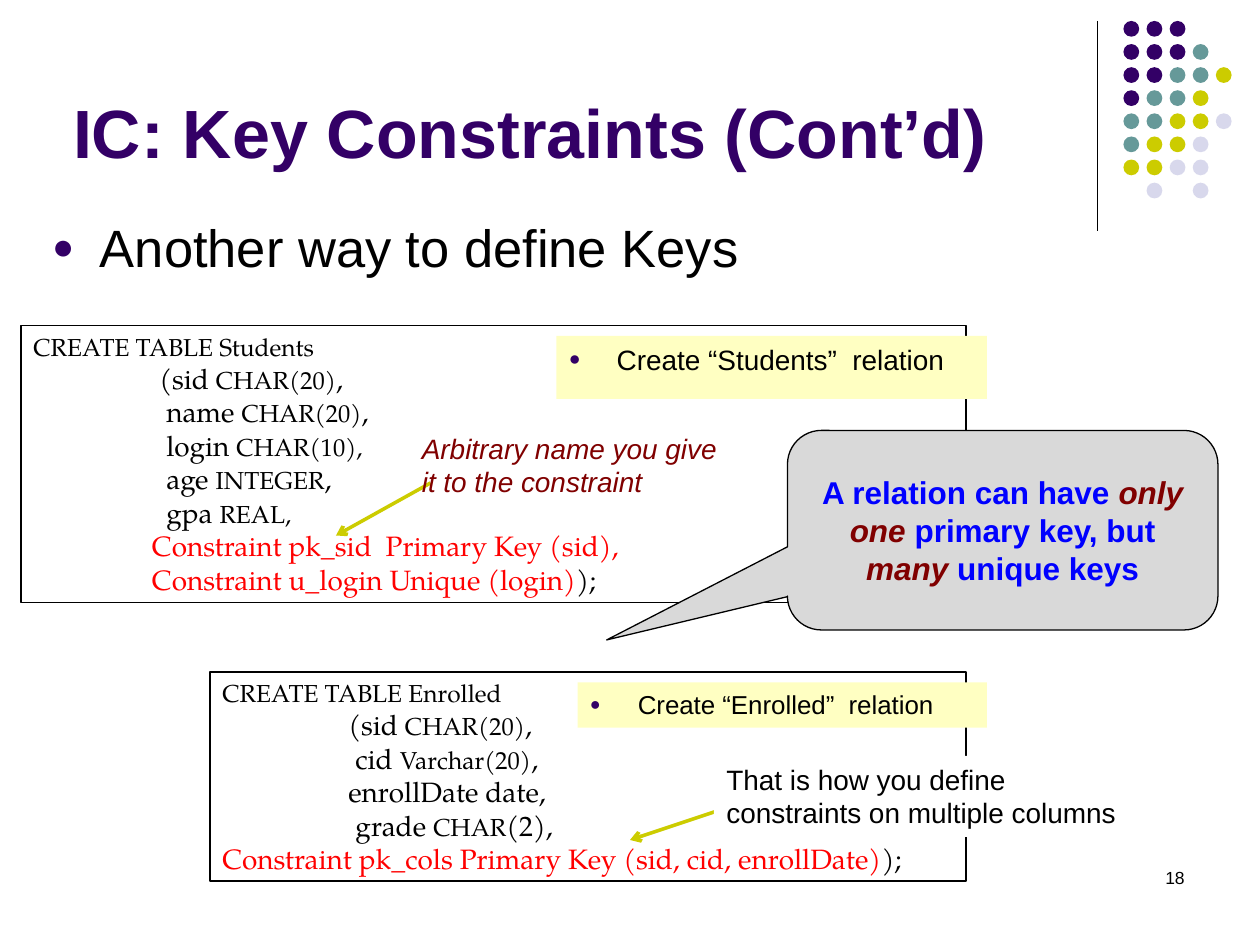
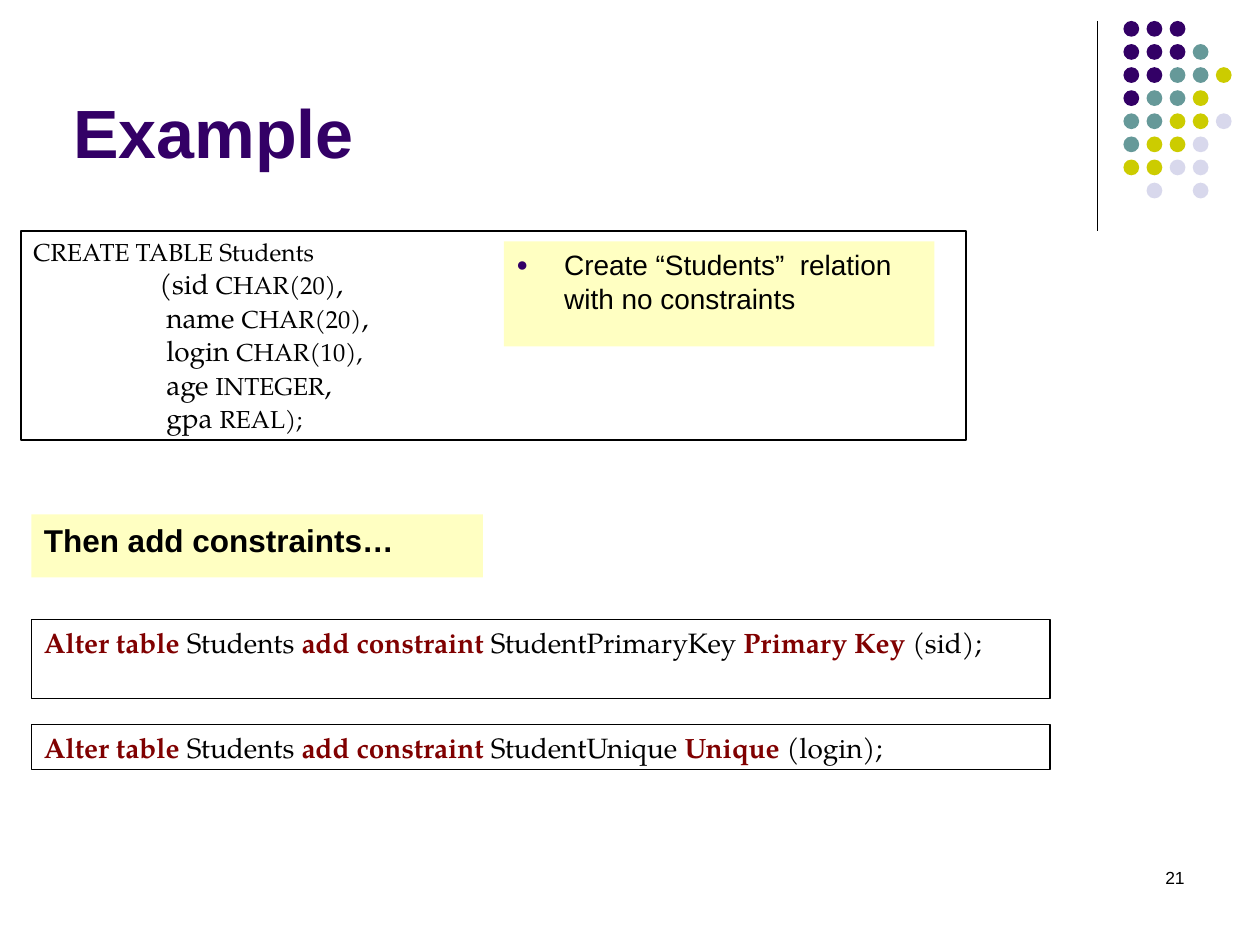
from dataclasses import dataclass, replace

from lxml import etree
from pptx import Presentation
from pptx.dml.color import RGBColor
from pptx.enum.shapes import MSO_CONNECTOR, MSO_SHAPE
from pptx.enum.text import MSO_ANCHOR, PP_ALIGN
from pptx.oxml.ns import qn
from pptx.util import Inches, Pt

RECT, OVAL = MSO_SHAPE.RECTANGLE, MSO_SHAPE.OVAL
CALLOUT = MSO_SHAPE.ROUNDED_RECTANGULAR_CALLOUT
STRAIGHT = MSO_CONNECTOR.STRAIGHT
TOP, MIDDLE, BOTTOM = MSO_ANCHOR.TOP, MSO_ANCHOR.MIDDLE, MSO_ANCHOR.BOTTOM
LEFT, CENTER, RIGHT = PP_ALIGN.LEFT, PP_ALIGN.CENTER, PP_ALIGN.RIGHT


@dataclass(frozen=True)
class Style:
    size: float
    color: str = "000000"
    bold: bool = False
    italic: bool = False
    font: str = "Arial"


class Theme:
    purple, teal, olive, pale = "330066", "669999", "CCCC00", "D8D8EC"
    black, white, cream, grey = "000000", "FFFFFF", "FFFFC2", "D9D9D9"
    red, maroon, blue = "FF0000", "800000", "0000FF"
    hairline, arrow = 0.75, 2

    title = Style(39, purple, bold=True)
    heading = Style(30)
    label = Style(16)
    small_label = Style(14.8)
    strong = Style(18, bold=True)
    aside = Style(16, maroon, italic=True)
    number = Style(10)
    callout = Style(18, blue, bold=True)
    callout_stress = Style(18, maroon, bold=True, italic=True)
    code = Style(16, font="TeX Gyre Pagella")
    code_type = replace(code, size=14)
    code_new = replace(code, color=red)
    code_keyword = replace(code, color=maroon, bold=True)


# The slide is a grid of 120 columns by 90 rows
COLS, ROWS = 120, 90
CELL = Inches(10) // COLS
INSET = (0.1, 0.05)
TITLE_INSET = (0.08, 0.04)

DOT_COLORS = {"p": Theme.purple, "t": Theme.teal, "o": Theme.olive, "l": Theme.pale}
DOT_ROWS = ["ppp", "pppt", "pptto", "ptto", "ttool", "tool", "ooll", " l l"]
DOT_PITCH, DOT_SIZE = 2.2, 1.5


def grid(*cells):
    return [round(c * CELL) for c in cells]


def rgb(color):
    return RGBColor.from_string(color)


# Text
def add_run(p, text, style):
    r = p.add_run()
    r.text = text
    r.font.name, r.font.size = style.font, Pt(style.size)
    r.font.bold, r.font.italic = style.bold, style.italic
    r.font.color.rgb = rgb(style.color)


def child(parent, tag, **attrs):
    return etree.SubElement(parent, qn(tag), {k: str(v) for k, v in attrs.items()})


def add_bullet(p):
    pPr = p._p.get_or_add_pPr()
    pPr.set("marL", str(Inches(0.38)))
    pPr.set("indent", str(-Inches(0.38)))
    child(child(pPr, "a:buClr"), "a:srgbClr", val=Theme.purple)
    child(pPr, "a:buSzPct", val=70000)
    child(pPr, "a:buFont", typeface="Arial")
    child(pPr, "a:buChar", char="●")


def add_tab_stop(p):
    tabs = child(p._p.get_or_add_pPr(), "a:tabLst")
    child(tabs, "a:tab", pos=Inches(1), algn="l")


def write(sp, lines, align=LEFT, anchor=TOP, inset=INSET, bullet=False):
    """Fill a shape with lines, each a list of (text, style) pairs."""
    tf = sp.text_frame
    tf.word_wrap, tf.vertical_anchor = True, anchor
    tf.margin_left = tf.margin_right = Inches(inset[0])
    tf.margin_top = tf.margin_bottom = Inches(inset[1])
    for i, line in enumerate(lines):
        p = tf.paragraphs[0] if i == 0 else tf.add_paragraph()
        if bullet:
            add_bullet(p)
        if any("\t" in text for text, _ in line):
            add_tab_stop(p)
        p.alignment = align
        for text, style in line:
            add_run(p, text, style)


# Shapes
def add_shape(slide, kind, cells, fill=None, line=None):
    sp = slide.shapes.add_shape(kind, *grid(*cells))
    sp.shadow.inherit = False
    if fill:
        sp.fill.solid()
        sp.fill.fore_color.rgb = rgb(fill)
    else:
        sp.fill.background()
    if line:
        sp.line.color.rgb = rgb(line)
        sp.line.width = Pt(Theme.hairline)
    else:
        sp.line.fill.background()
    return sp


def add_text(slide, cells, text, style, **layout):
    write(slide.shapes.add_textbox(*grid(*cells)), [[(text, style)]], **layout)


def add_label(slide, cells, text, style=Theme.label, fill=Theme.cream, bullet=True):
    write(add_shape(slide, RECT, cells, fill), [[(text, style)]], bullet=bullet)


def add_code(slide, cells, lines):
    write(add_shape(slide, RECT, cells, line=Theme.black), lines)


def add_line(slide, ends, color, width, arrow=False):
    line = slide.shapes.add_connector(STRAIGHT, *grid(*ends))
    line.line.color.rgb, line.line.width = rgb(color), Pt(width)
    if arrow:
        child(line.line._get_or_add_ln(), "a:tailEnd", type="arrow")
    child(line._element.spPr, "a:effectLst")


# Code lines
def code_line(*parts):
    """Names and data types alternate, names first."""
    styles = (Theme.code, Theme.code_type)
    return [(part, styles[i % 2]) for i, part in enumerate(parts) if part]


def students_table(end):
    return [
        code_line("", "CREATE TABLE Students"),
        code_line("\t(sid ", "CHAR(20)", ","),
        code_line("\t name ", "CHAR(20)", ","),
        code_line("\t login ", "CHAR(10),"),
        code_line("\t age ", "INTEGER", ","),
        code_line("\t gpa ", "REAL" + end),
    ]


def alter_line(name, kind, column):
    return [
        ("Alter table ", Theme.code_keyword), ("Students ", Theme.code),
        ("add constraint ", Theme.code_keyword), (name + " ", Theme.code),
        (kind + " ", Theme.code_keyword), (f"({column});", Theme.code),
    ]


# What the slides share
def new_slide(prs, title, number):
    slide = prs.slides.add_slide(prs.slide_layouts[6])
    add_line(slide, (104.5, 2, 104.5, 22), Theme.black, Theme.hairline)
    for row, dots in enumerate(DOT_ROWS):
        for col, key in enumerate(dots):
            if key in DOT_COLORS:
                at = (107 + col * DOT_PITCH, 2 + row * DOT_PITCH, DOT_SIZE, DOT_SIZE)
                add_shape(slide, OVAL, at, DOT_COLORS[key])
    add_text(slide, (6, 1.5, 99, 15.4), title, Theme.title,
             anchor=BOTTOM, inset=TITLE_INSET)
    add_text(slide, (86, 82, 28, 6), number, Theme.number, align=RIGHT)
    return slide


def key_constraints(prs):
    slide = new_slide(prs, "IC: Key Constraints (Cont’d)", "18")
    add_text(slide, (4, 20, 108, 8.4), "Another way to define Keys", Theme.heading,
             inset=TITLE_INSET, bullet=True)

    # Students table
    pad = " " * 17
    add_code(slide, (2, 31, 90, 26.4), students_table(",") + [
        [(pad + "Constraint pk_sid  Primary Key (sid),", Theme.code_new)],
        [(pad + "Constraint u_login Unique (login)", Theme.code_new),
         (");", Theme.code)],
    ])
    add_label(slide, (53, 32, 41, 6), "Create “Students”  relation")

    # Enrolled table
    add_code(slide, (20, 64, 72, 19.9), [
        code_line("", "CREATE TABLE Enrolled"),
        code_line("\t(sid ", "CHAR(20)", ","),
        code_line("\t cid ", "Varchar(20)", ","),
        code_line("\tenrollDate date,"),
        code_line("\t grade ", "CHAR", "(2),"),
        [("Constraint pk_cols Primary Key (sid, cid, enrollDate)", Theme.code_new),
         (");", Theme.code)],
    ])
    add_label(slide, (55, 65, 39, 4.3), "Create “Enrolled”  relation",
              Theme.small_label)

    # Callout and arrowed remarks
    callout = add_shape(slide, CALLOUT, (75, 41, 41, 19), Theme.grey, Theme.black)
    for i, value in enumerate((-0.92, 0.55, 0.17)):
        callout.adjustments[i] = value
    write(callout, [[
        ("A relation can have ", Theme.callout), ("only one", Theme.callout_stress),
        (" primary key, but ", Theme.callout), ("many ", Theme.callout_stress),
        ("unique keys", Theme.callout),
    ]], align=CENTER, anchor=MIDDLE)
    add_line(slide, (69, 77, 60, 80), Theme.olive, Theme.arrow, arrow=True)
    add_label(slide, (68, 72, 42, 7.7),
              "That is how you define constraints on multiple columns",
              fill=Theme.white, bullet=False)
    add_line(slide, (41, 46, 32, 51), Theme.olive, Theme.arrow, arrow=True)
    add_text(slide, (39, 40.5, 31, 7.7),
             "Arbitrary name you give it to the constraint", Theme.aside)


def example(prs):
    slide = new_slide(prs, "Example", "21")
    add_code(slide, (2, 22, 90, 19.9), students_table(");"))
    add_label(slide, (48, 23, 41, 10),
              "Create “Students”  relation with no constraints")

    # Constraints added afterwards
    add_code(slide, (3, 59, 97, 7.5),
             [alter_line("StudentPrimaryKey", "Primary Key", "sid")])
    add_code(slide, (3, 69, 97, 4.3),
             [alter_line("StudentUnique", "Unique", "login")])
    add_label(slide, (3, 49, 43, 6), "Then add constraints…", Theme.strong,
              bullet=False)


def main():
    prs = Presentation()
    prs.slide_width, prs.slide_height = grid(COLS, ROWS)
    key_constraints(prs)
    example(prs)
    prs.save("out.pptx")


if __name__ == "__main__":
    main()
